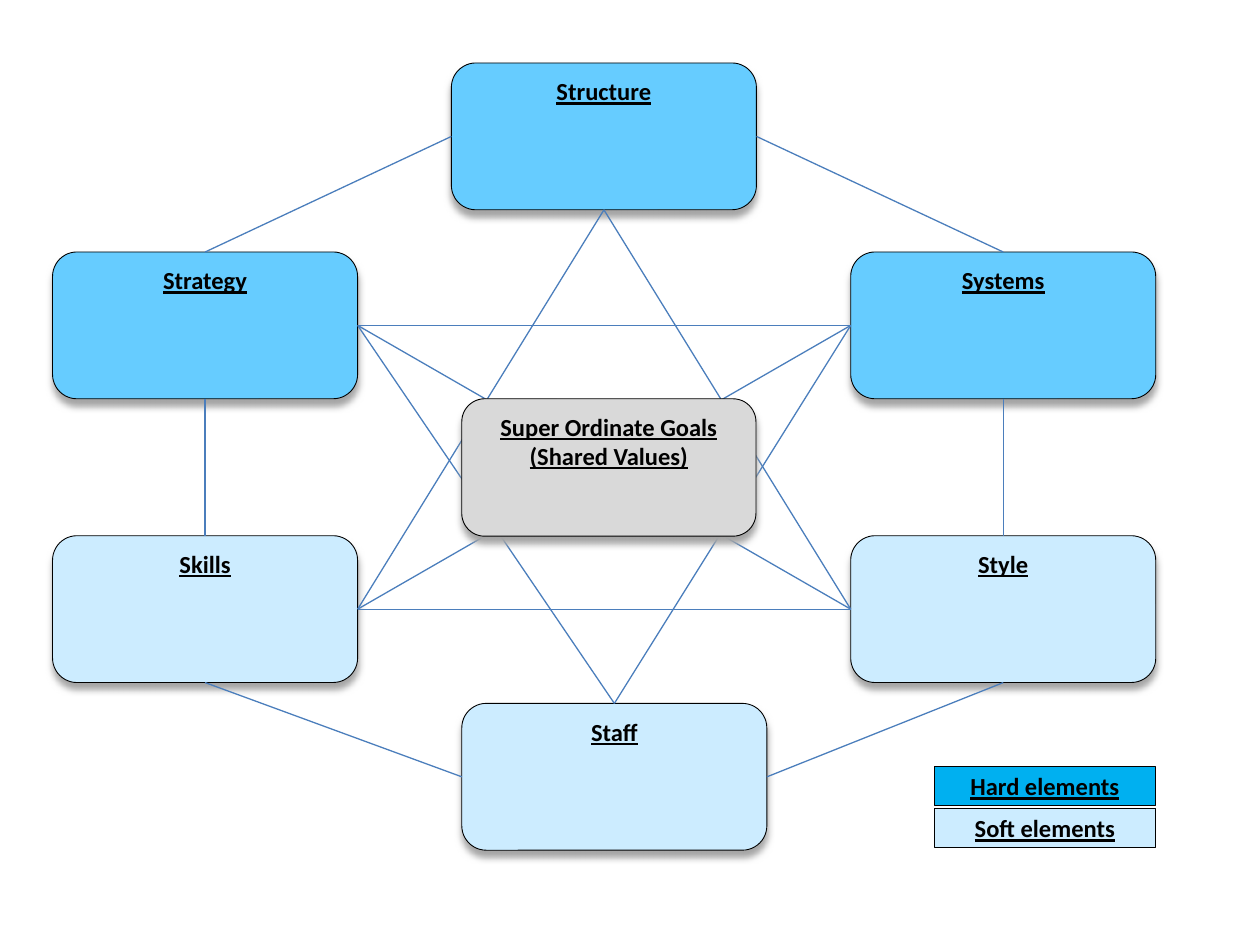
"""Build the seven-element framework diagram with its hard and soft legend."""
from lxml.etree import SubElement
from pptx import Presentation
from pptx.dml.color import RGBColor
from pptx.enum.shapes import MSO_CONNECTOR as CONN, MSO_SHAPE as SHAPE
from pptx.enum.text import MSO_ANCHOR as ANCHOR, PP_ALIGN as ALIGN
from pptx.oxml.ns import qn
from pptx.util import Cm, Pt

BLACK = RGBColor(0x00, 0x00, 0x00)
HARD = RGBColor(0x66, 0xCC, 0xFF)
SOFT = RGBColor(0xCC, 0xEC, 0xFF)
HARD_KEY = RGBColor(0x00, 0xB0, 0xF0)
GRAY = RGBColor(0xD9, 0xD9, 0xD9)
SHADOW = RGBColor(0xA6, 0xA6, 0xA6)
LINE = RGBColor(0x4B, 0x7E, 0xBC)

TOP, LEFT, BOTTOM, RIGHT = range(4)
BOX_W, BOX_H = 6.15, 2.96
LEFT_X, RIGHT_X = 1.06, 17.15
UPPER_Y, LOWER_Y = 5.08, 10.8

prs = Presentation()
prs.slide_width, prs.slide_height = Cm(25.4), Cm(19.05)
s = prs.slides.add_slide(prs.slide_layouts[6])


def add_label(kind, text, x, y, w, h, fill, line_width, anchor):
    sp = s.shapes.add_shape(kind, Cm(x), Cm(y), Cm(w), Cm(h))
    sp.shadow.inherit = False
    sp.fill.solid()
    sp.fill.fore_color.rgb = fill
    sp.line.color.rgb = BLACK
    sp.line.width = Pt(line_width)
    tf = sp.text_frame
    tf.word_wrap = True
    tf.vertical_anchor = anchor
    p = tf.paragraphs[0]
    p.alignment = ALIGN.CENTER
    r = p.add_run()
    r.text = text
    r.font.name = "Calibri"
    r.font.size = Pt(14)
    r.font.bold = r.font.underline = True
    r.font.color.rgb = BLACK
    return sp


def add_box(text, x, y, w, h, fill):
    sp = add_label(SHAPE.ROUNDED_RECTANGLE, text, x, y, w, h, fill, 0.5, ANCHOR.TOP)
    effects = sp._element.spPr.find(qn("a:effectLst"))
    shadow = SubElement(effects, qn("a:outerShdw"), blurRad=str(Pt(4)),
                        dist=str(Pt(4)), dir="5400000", algn="t", rotWithShape="0")
    SubElement(shadow, qn("a:srgbClr"), val=str(SHADOW))
    return sp


elements = [
    ("Strategy", LEFT_X, UPPER_Y, HARD),
    ("Staff", 9.31, 14.18, SOFT),
    ("Structure", 9.1, 1.27, HARD),
    ("Systems", RIGHT_X, UPPER_Y, HARD),
    ("Skills", LEFT_X, LOWER_Y, SOFT),
    ("Style", RIGHT_X, LOWER_Y, SOFT),
]
boxes = {name: add_box(name, x, y, BOX_W, BOX_H, fill) for name, x, y, fill in elements}

for text, y, fill in [("Hard elements", 15.45, HARD_KEY), ("Soft elements", 16.3, SOFT)]:
    add_label(SHAPE.RECTANGLE, text, 18.84, y, 4.45, 0.79, fill, 0.75, ANCHOR.MIDDLE)

links = [
    ("Strategy", TOP, "Structure", LEFT),
    ("Systems", TOP, "Structure", RIGHT),
    ("Strategy", BOTTOM, "Skills", TOP),
    ("Skills", BOTTOM, "Staff", LEFT),
    ("Style", BOTTOM, "Staff", RIGHT),
    ("Systems", BOTTOM, "Style", TOP),
    ("Strategy", RIGHT, "Systems", LEFT),
    ("Skills", RIGHT, "Style", LEFT),
    ("Skills", RIGHT, "Systems", LEFT),
    ("Strategy", RIGHT, "Style", LEFT),
    ("Skills", RIGHT, "Structure", BOTTOM),
    ("Style", LEFT, "Structure", BOTTOM),
    ("Strategy", RIGHT, "Staff", TOP),
    ("Systems", LEFT, "Staff", TOP),
]
for start, start_site, end, end_site in links:
    link = s.shapes.add_connector(CONN.STRAIGHT, 0, 0, 0, 0)
    link.begin_connect(boxes[start], start_site)
    link.end_connect(boxes[end], end_site)
    link.line.color.rgb = LINE
    link.line.width = Pt(0.75)
    SubElement(link._element.spPr, qn("a:effectLst"))

add_box("Super Ordinate Goals (Shared Values)", 9.31, 8.04, 5.93, 2.77, GRAY)

prs.save("out.pptx")
